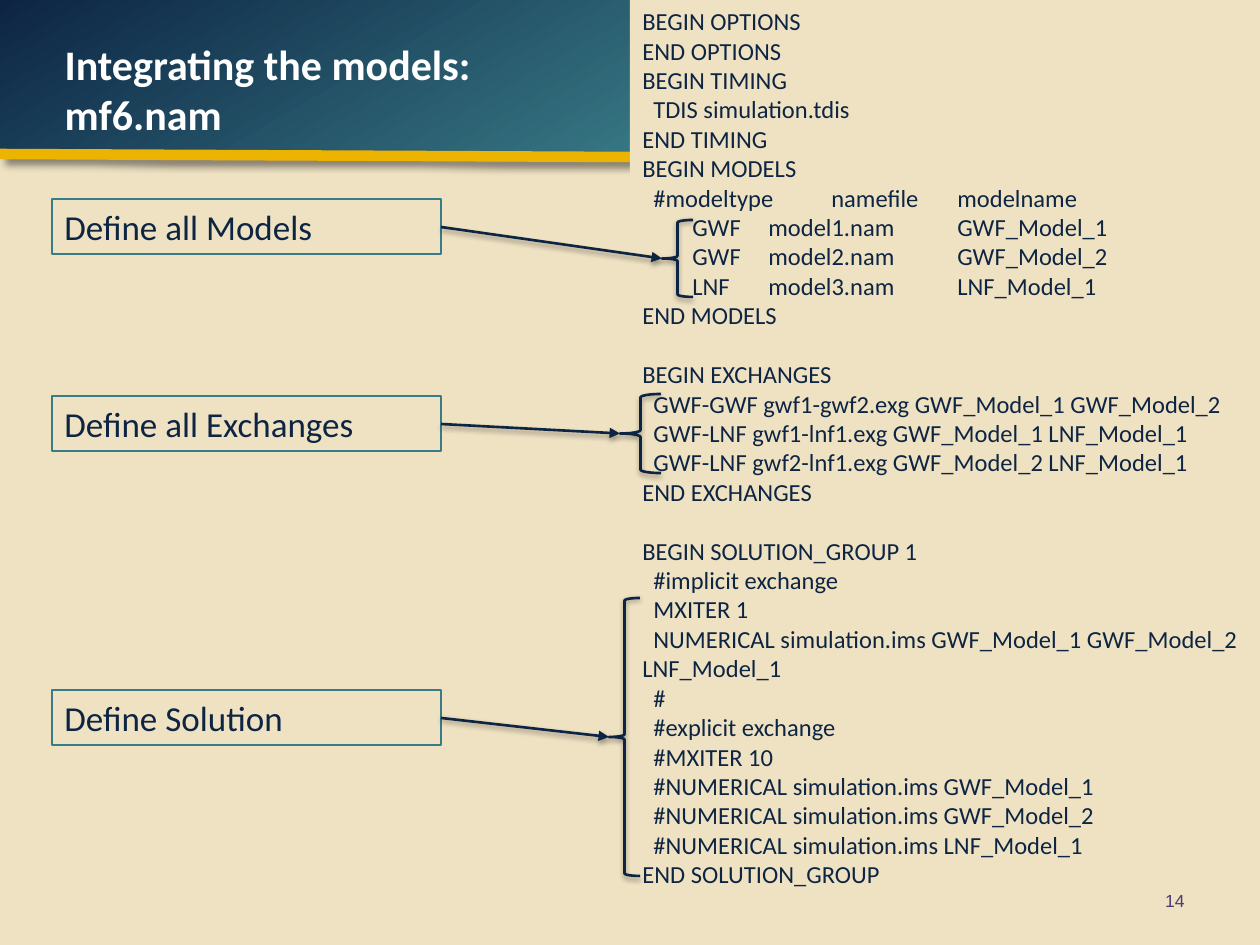
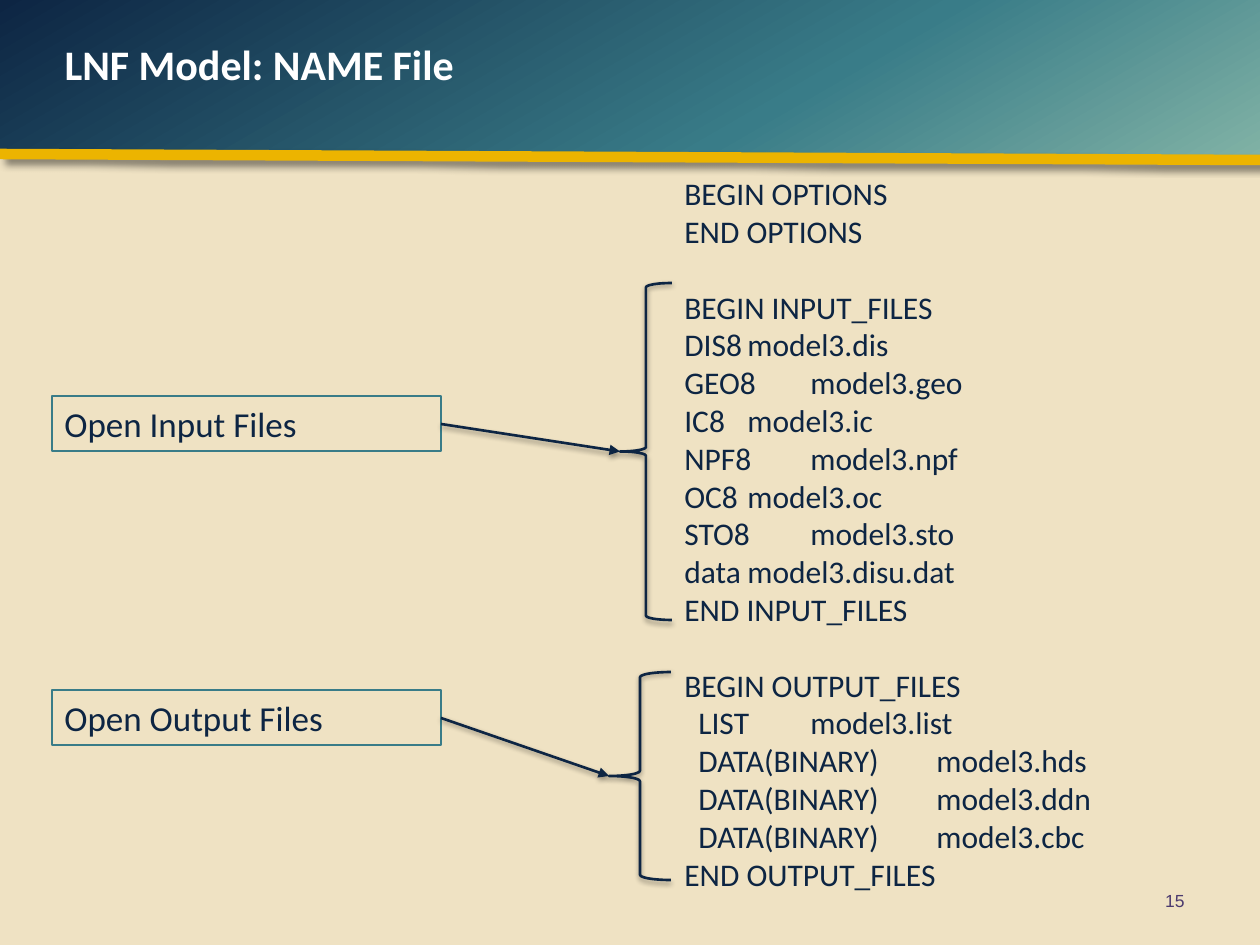
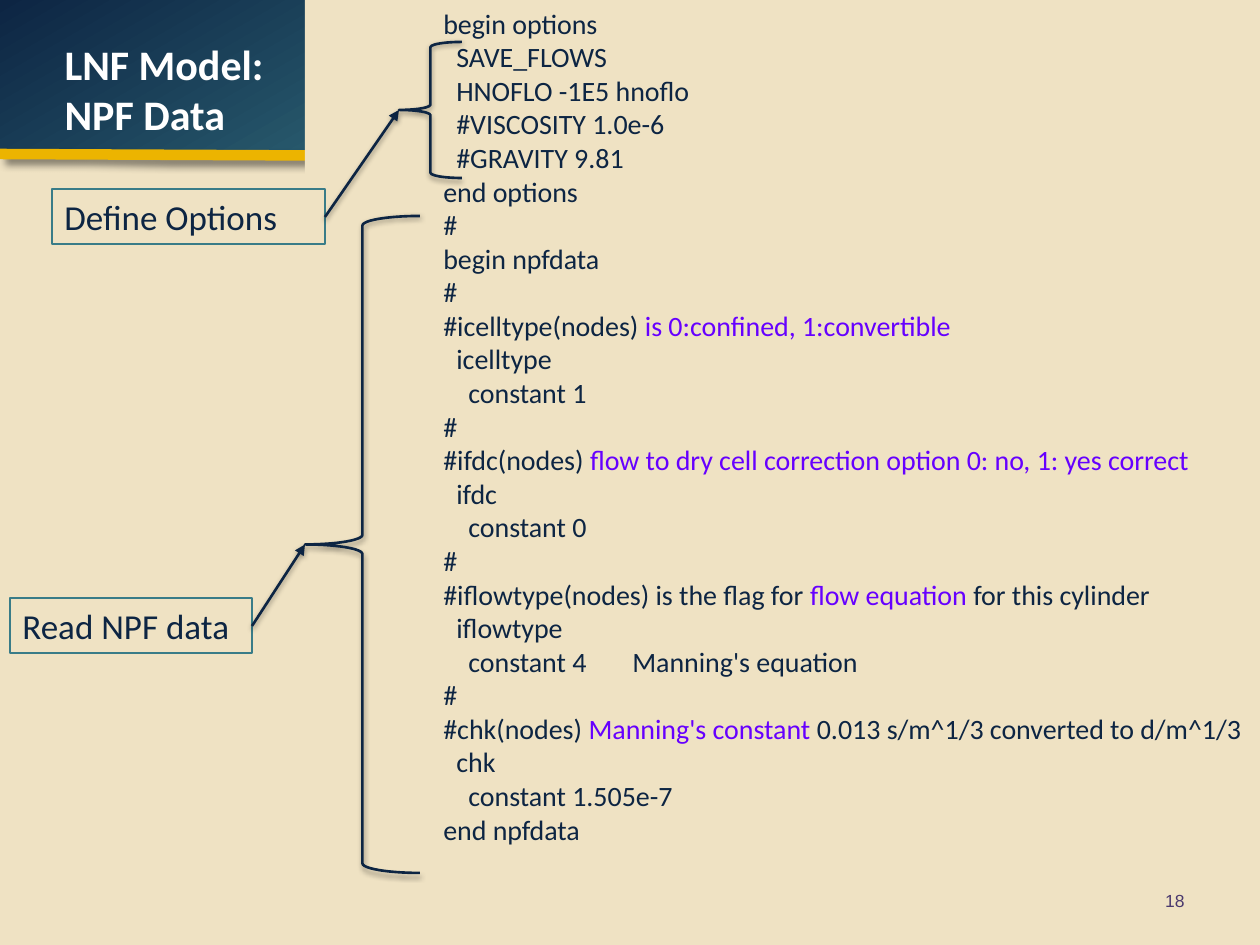
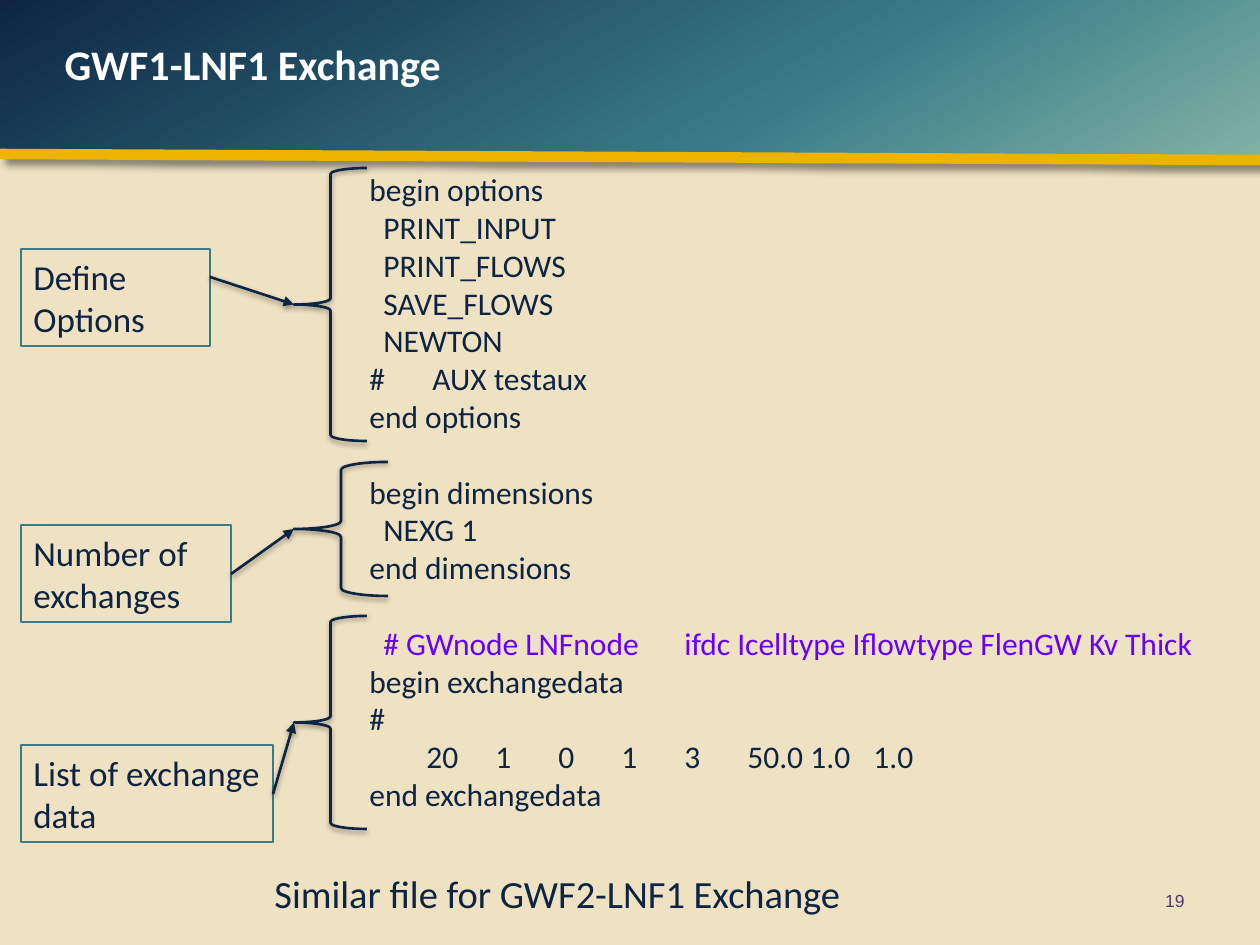
"""Build four slides on model input files, each a listing with labelled braces."""
from dataclasses import dataclass

from pptx import Presentation
from pptx.dml.color import RGBColor
from pptx.enum.shapes import MSO_CONNECTOR, MSO_SHAPE
from pptx.enum.text import MSO_ANCHOR, MSO_AUTO_SIZE, PP_ALIGN
from pptx.oxml import parse_xml
from pptx.oxml.ns import nsdecls
from pptx.util import Emu, Pt


@dataclass(frozen=True)
class Theme:
    navy: str = "0D2543"
    teal: str = "397C88"
    sage: str = "80B2A5"
    gold: str = "ECB400"
    sand: str = "EFE2C3"
    violet: str = "6600FF"
    plum: str = "4B3A6E"
    white: str = "FFFFFF"
    font: str = "Calibri"
    number_font: str = "Arial"
    title: int = 24
    label: int = 20
    number: int = 10
    rule: float = 1.5
    band_rule: int = 6


T = Theme()
RGB = RGBColor.from_string
SCALE = 914400 / 126


def px(*values):
    return [Emu(round(v * SCALE)) for v in values]


def write(sp, lines, size, color=T.navy, font=T.font, bold=False,
          align=PP_ALIGN.LEFT, anchor=MSO_ANCHOR.TOP):
    tf = sp.text_frame
    tf.word_wrap = True
    tf.auto_size = MSO_AUTO_SIZE.NONE
    tf.vertical_anchor = anchor
    p, gap = None, False
    for line in lines:
        if not line:
            gap = True
            continue
        text, indent, *stops = (line, 0) if isinstance(line, str) else line
        p = tf.add_paragraph() if p else tf.paragraphs[0]
        p.alignment = align
        p.space_before = Pt(1.2 * size if gap else 0)
        gap = False
        pPr = p._p.get_or_add_pPr()
        pPr.set("marL", "0")
        pPr.set("indent", str(px(indent)[0]))
        if stops:
            tabs = "".join(f'<a:tab pos="{pos}" algn="l"/>' for pos in px(*stops))
            pPr.append(parse_xml(f'<a:tabLst {nsdecls("a")}>{tabs}</a:tabLst>'))
        for i, part in enumerate(text.split("|")):
            if part:
                r = p.add_run()
                r.text = part
                r.font.name = font
                r.font.size = Pt(size)
                r.font.bold = bold
                r.font.color.rgb = RGB(T.violet if i % 2 else color)


def shadow_xml(alpha, blur, dist, angle):
    return parse_xml(
        f'<a:effectLst {nsdecls("a")}><a:outerShdw blurRad="{Pt(blur)}" '
        f'dist="{Pt(dist)}" dir="{angle * 60000}" rotWithShape="0">'
        f'<a:srgbClr val="000000"><a:alpha val="{alpha * 1000}"/></a:srgbClr>'
        '</a:outerShdw></a:effectLst>')


SLIDES = [
    dict(
        title="Integrating the models: mf6.nam", title_width=494, number="14",
        texts=[((630, 0, 630, 932), 14, True, [
            "BEGIN OPTIONS",
            "END OPTIONS",
            "BEGIN TIMING",
            ("TDIS simulation.tdis", 11),
            "END TIMING",
            "BEGIN MODELS",
            ("#modeltype\tnamefile\tmodelname", 11, 164, 284),
            ("GWF\tmodel1.nam\tGWF_Model_1", 50, 120, 268),
            ("GWF\tmodel2.nam\tGWF_Model_2", 50, 120, 268),
            ("LNF\tmodel3.nam\tLNF_Model_1", 50, 120, 274),
            "END MODELS",
            "",
            "BEGIN EXCHANGES",
            ("GWF-GWF gwf1-gwf2.exg GWF_Model_1 GWF_Model_2", 11),
            ("GWF-LNF gwf1-lnf1.exg GWF_Model_1 LNF_Model_1", 11),
            ("GWF-LNF gwf2-lnf1.exg GWF_Model_2 LNF_Model_1", 11),
            "END EXCHANGES",
            "",
            "BEGIN SOLUTION_GROUP 1",
            ("#implicit exchange", 11),
            ("MXITER 1", 11),
            ("NUMERICAL simulation.ims GWF_Model_1 GWF_Model_2 LNF_Model_1", 11),
            ("#", 11),
            ("#explicit exchange", 11),
            ("#MXITER 10", 11),
            ("#NUMERICAL simulation.ims GWF_Model_1", 11),
            ("#NUMERICAL simulation.ims GWF_Model_2", 11),
            ("#NUMERICAL simulation.ims LNF_Model_1", 11),
            "END SOLUTION_GROUP",
        ])],
        labels=[
            ("Define all Models", (52, 199, 389, 55), 227, (662, 220, 31, 77)),
            ("Define all Exchanges", (52, 396, 389, 55), 424, (620, 394, 41, 79)),
            ("Define Solution", (52, 690, 389, 55), 718, (609, 598, 31, 278)),
        ]),
    dict(
        title="LNF Model: NAME File", title_width=494, number="15",
        texts=[((672, 168, 451, 738), 18, False, [
            "BEGIN OPTIONS",
            "END OPTIONS",
            "",
            "BEGIN INPUT_FILES",
            ("DIS8\tmodel3.dis", 0, 136),
            ("GEO8\tmodel3.geo", 0, 143),
            ("IC8\tmodel3.ic", 0, 126),
            ("NPF8\tmodel3.npf", 0, 145),
            ("OC8\tmodel3.oc", 0, 139),
            ("STO8\tmodel3.sto", 0, 137),
            ("data\tmodel3.disu.dat", 0, 128),
            "END INPUT_FILES",
            "",
            "BEGIN OUTPUT_FILES",
            ("LIST\tmodel3.list", 14, 136),
            ("DATA(BINARY)\tmodel3.hds", 14, 209),
            ("DATA(BINARY)\tmodel3.ddn", 14, 209),
            ("DATA(BINARY)\tmodel3.cbc", 14, 209),
            "END OUTPUT_FILES",
        ])],
        labels=[
            ("Open Input Files", (52, 396, 389, 55), 424, (620, 283, 52, 337)),
            ("Open Output Files", (52, 690, 389, 55), 718, (609, 672, 62, 208)),
        ]),
    dict(
        title="LNF Model: NPF Data", title_width=242, number="18",
        texts=[((305, 0, 157, 179), 16, True, []),
               ((431, 0, 829, 895), 16, True, [
            "begin options",
            ("SAVE_FLOWS", 13),
            ("HNOFLO -1E5 hnoflo", 13),
            ("#VISCOSITY 1.0e-6", 13),
            ("#GRAVITY 9.81", 13),
            "end options",
            "#",
            "begin npfdata",
            "#",
            "#icelltype(nodes) |is 0:confined, 1:convertible",
            ("icelltype", 13),
            ("constant 1", 25),
            "#",
            "#ifdc(nodes) |flow to dry cell correction option 0: no, 1: yes correct",
            ("ifdc", 13),
            ("constant 0", 25),
            "#",
            "#iflowtype(nodes) is the flag for |flow equation |for this cylinder",
            ("iflowtype", 13),
            ("constant 4\tManning's equation", 25, 168),
            "#",
            "#chk(nodes) |Manning's constant |0.013 s/m^1/3 converted to d/m^1/3",
            ("chk", 13),
            ("constant 1.505e-7", 25),
            "end npfdata",
        ])],
        labels=[
            ("Read NPF data", (10, 598, 242, 55), 626, (305, 216, 115, 657)),
            ("Define Options", (52, 189, 273, 55), 217, (399, 42, 63, 136)),
        ]),
    dict(
        title="GWF1-LNF1 Exchange", title_width=1092, number="19",
        texts=[((357, 164, 861, 700), 18, False, [
            "begin options",
            ("PRINT_INPUT", 14),
            ("PRINT_FLOWS", 14),
            ("SAVE_FLOWS", 14),
            ("NEWTON", 14),
            ("#\tAUX testaux", 0, 30),
            "end options",
            "",
            "begin dimensions",
            ("NEXG 1", 14),
            "end dimensions",
            "",
            ("|# GWnode LNFnode\tifdc Icelltype Iflowtype FlenGW Kv Thick", 14, 284),
            "begin exchangedata",
            "#",
            ("20\t1\t0\t1\t3\t50.0\t1.0\t1.0", 57, 132, 176, 256, 335, 380, 464, 526),
            "end exchangedata",
        ]), ((262, 864, 725, 59), 22, False, ["Similar file for GWF2-LNF1 Exchange"])],
        labels=[
            ("Number of exchanges", (21, 525, 210, 97), 574, (294, 462, 94, 134)),
            ("List of exchange data", (21, 745, 252, 97), 794, (294, 616, 73, 213)),
            ("Define Options", (21, 249, 189, 97), 277, (294, 168, 73, 273)),
        ]),
]

prs = Presentation()
prs.slide_width, prs.slide_height = px(1260, 945)
pages = [prs.slides.add_slide(prs.slide_layouts[5]) for _ in SLIDES]

master = prs.slide_master
master.background.fill.solid()
master.background.fill.fore_color.rgb = RGB(T.sand)
band = pages[0].shapes.add_shape(MSO_SHAPE.RECTANGLE, *px(0, 0, 1260, 157))
stops = "".join(f'<a:gs pos="{pos * 1000}"><a:srgbClr val="{color}"/></a:gs>'
                for pos, color in ((0, T.navy), (63, T.teal), (100, T.sage)))
band.element.spPr.insert(2, parse_xml(
    f'<a:gradFill {nsdecls("a")} rotWithShape="1"><a:gsLst>{stops}</a:gsLst>'
    f'<a:lin ang="{60 * 60000}" scaled="0"/></a:gradFill>'))
band.line.fill.background()
band.shadow.inherit = False
rule = pages[0].shapes.add_connector(MSO_CONNECTOR.STRAIGHT, *px(0, 154, 1260, 160))
rule.line.color.rgb = RGB(T.gold)
rule.line.width = Pt(T.band_rule)
rule.element.spPr.append(shadow_xml(43, 4, 4, 45))
for i, sp in enumerate((band, rule)):
    sp.element.xpath(".//p:cNvPr")[0].set("id", str(101 + i))
    master.shapes.element.insert(2 + i, sp.element)

for s, page in zip(pages, SLIDES):
    title = s.shapes.title
    title.left, title.top, title.width, title.height = px(52, 32, page["title_width"], 100)
    write(title, [page["title"]], T.title, T.white, bold=True)

    for box, size, panel, lines in page["texts"]:
        if panel:
            sp = s.shapes.add_shape(MSO_SHAPE.RECTANGLE, *px(*box))
            sp.fill.solid()
            sp.fill.fore_color.rgb = RGB(T.sand)
            sp.line.fill.background()
            sp.shadow.inherit = False
        else:
            sp = s.shapes.add_textbox(*px(*box))
        write(sp, lines, size)

    for text, box, start, brace in page["labels"]:
        sp = s.shapes.add_shape(MSO_SHAPE.RECTANGLE, *px(*box))
        sp.fill.background()
        sp.line.color.rgb = RGB(T.teal)
        sp.line.width = Pt(T.rule)
        sp.shadow.inherit = False
        write(sp, [text], T.label)

        x, y, w, h = brace
        arrow = s.shapes.add_connector(
            MSO_CONNECTOR.STRAIGHT, *px(box[0] + box[2], start, x, y + h / 2))
        curly = s.shapes.add_shape(MSO_SHAPE.LEFT_BRACE, *px(*brace))
        curly.fill.background()
        for sp in (arrow, curly):
            sp.line.color.rgb = RGB(T.navy)
            sp.line.width = Pt(T.rule)
            sp.element.spPr.append(shadow_xml(38, 3.1, 1.6, 90))
        arrow.line._get_or_add_ln().append(
            parse_xml(f'<a:tailEnd {nsdecls("a")} type="triangle"/>'))

    sp = s.shapes.add_textbox(*px(903, 876, 294, 50))
    write(sp, [page["number"]], T.number, T.plum, T.number_font,
          align=PP_ALIGN.RIGHT, anchor=MSO_ANCHOR.MIDDLE)

prs.save("out.pptx")
